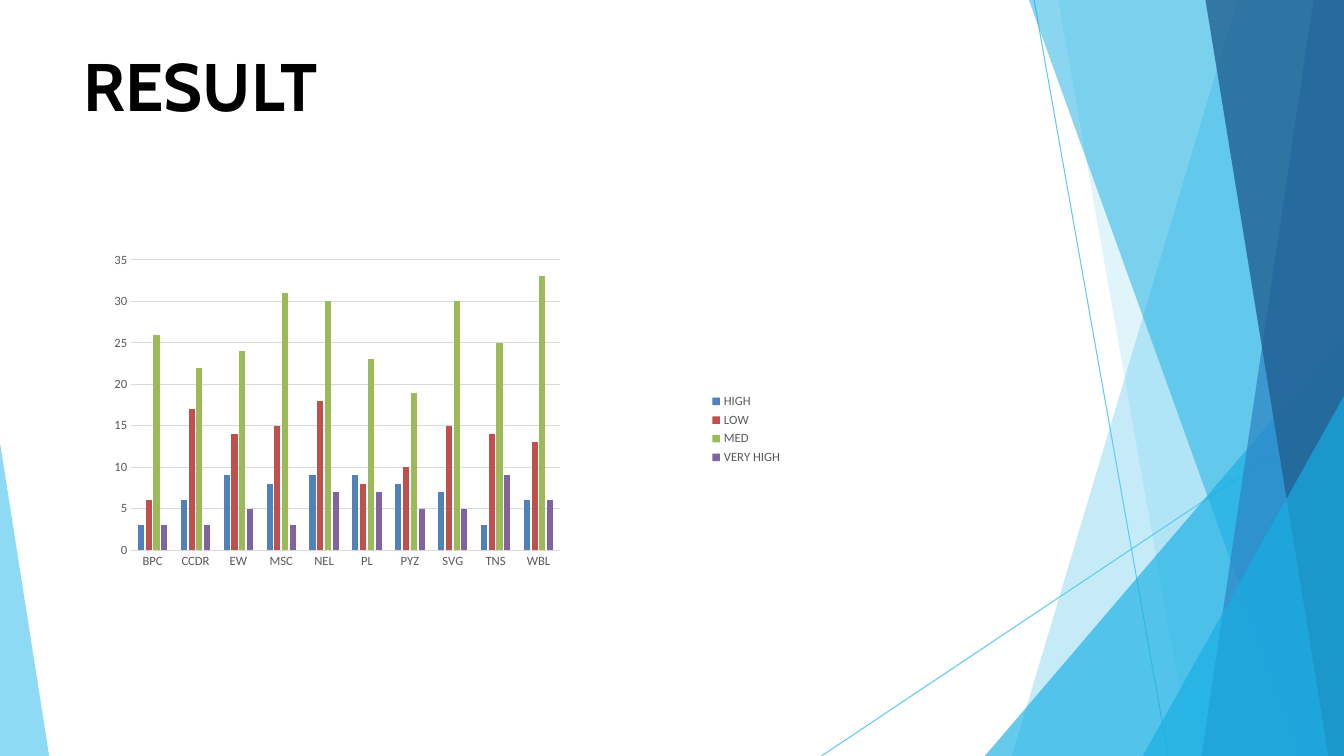
from lxml import etree
from pptx import Presentation
from pptx.chart.data import CategoryChartData
from pptx.dml.color import RGBColor
from pptx.enum.chart import XL_CHART_TYPE, XL_LEGEND_POSITION, XL_TICK_MARK
from pptx.enum.text import MSO_ANCHOR, MSO_AUTO_SIZE, PP_ALIGN
from pptx.oxml import parse_xml
from pptx.oxml.ns import nsdecls, qn
from pptx.util import Cm, Pt

CLUSTERED = XL_CHART_TYPE.COLUMN_CLUSTERED
LEGEND_RIGHT = XL_LEGEND_POSITION.RIGHT
NO_TICK = XL_TICK_MARK.NONE
MIDDLE = MSO_ANCHOR.MIDDLE
GROW = MSO_AUTO_SIZE.SHAPE_TO_FIT_TEXT
LEFT = PP_ALIGN.LEFT

TITLE_ONLY = 5
WIDTH, HEIGHT = 33.87, 19.05

COLORS = {
    "sky": "5FCAEE", "cyan": "17AFE3", "blue": "2D83C3", "navy": "226192",
    "title": "000000", "label": "595959", "grid": "D9D9D9",
    "HIGH": "4F81BD", "LOW": "C0504D", "MED": "9BBB59", "VERY HIGH": "8064A2",
}

RATINGS = {
    "HIGH": (3, 6, 9, 8, 9, 9, 8, 7, 3, 6),
    "LOW": (6, 17, 14, 15, 18, 8, 10, 15, 14, 13),
    "MED": (26, 22, 24, 31, 30, 23, 19, 30, 25, 33),
    "VERY HIGH": (3, 3, 5, 3, 7, 7, 5, 5, 9, 6),
}
SITES = ("BPC", "CCDR", "EW", "MSC", "NEL", "PL", "PYZ", "SVG", "TNS", "WBL")


def color(name):
    return RGBColor.from_string(COLORS[name])


def add_ray(slide, start, end):
    ray = slide.shapes.add_connector(1, *map(Cm, start + end))
    ray.line.color.rgb = color("sky")
    ray.line.width = Pt(0.75)
    etree.SubElement(ray._element.spPr, qn("a:effectLst"))


def add_facet(slide, corners, fill, opacity):
    """Draw a borderless polygon with the given opacity in percent."""
    points = [(Cm(x), Cm(y)) for x, y in corners]
    builder = slide.shapes.build_freeform(*points[0])
    builder.add_line_segments(points[1:], close=True)
    facet = builder.convert_to_shape()
    facet.shadow.inherit = False
    facet.line.fill.background()
    facet.fill.solid()
    facet.fill.fore_color.rgb = color(fill)
    srgb = facet._element.spPr.find(qn("a:solidFill"))[0]
    etree.SubElement(srgb, qn("a:alpha"), val=str(opacity * 1000))


def add_backdrop(slide, left, top, width, height):
    right, bottom = left + width, top + height

    def band(top_x, bottom_x):
        return [(right, top), (left + top_x, top),
                (left + bottom_x, bottom), (right, bottom)]

    def wedge(right_y, bottom_x):
        return [(right, top + right_y), (left + bottom_x, bottom), (right, bottom)]

    add_ray(slide, (left + 26.06, top), (left + 29.44, bottom))
    add_ray(slide, (right, top + 10.26), (left + 20.7, bottom))
    facets = (
        (band(31.19, 25.5), "sky", 36),
        (band(26.67, 30.02), "sky", 20),
        (wedge(8.46, 24.82), "cyan", 66),
        (band(25.93, 32.79), "cyan", 50),
        (band(33.1, 30.28), "blue", 70),
        (band(30.38, 33.48), "navy", 80),
        (wedge(9.98, 28.8), "cyan", 66),
        ([(left, top + 11.15), (left, bottom), (left + 1.24, bottom)], "sky", 70),
    )
    for corners, fill, opacity in facets:
        add_facet(slide, corners, fill, opacity)


def place_title(slide, left, top, width, height):
    title = slide.shapes.title
    title.left, title.top, title.width, title.height = map(Cm, (left, top, width, height))
    frame = title.text_frame
    frame.text = "RESULT"
    frame.margin_left = frame.margin_right = frame.margin_top = frame.margin_bottom = 0
    frame.vertical_anchor = MIDDLE
    frame.auto_size = GROW
    heading = frame.paragraphs[0]
    heading.alignment = LEFT
    heading.font.name = "Cabin"
    heading.font.size = Pt(48)
    heading.font.bold = True
    heading.font.color.rgb = color("title")


def style_chart_font(font, size, tone):
    font.name = "Calibri"
    font.size = Pt(size)
    font.color.rgb = color(tone)


def set_plot_layout(chart, **fractions):
    """Fix the inner plot area as fractions of the chart box."""
    plot_area = chart._chartSpace.chart.plotArea
    for layout in plot_area.findall(qn("c:layout")):
        plot_area.remove(layout)
    sizes = "".join(f'<c:{key} val="{value}"/>' for key, value in fractions.items())
    plot_area.insert(0, parse_xml(
        f'<c:layout {nsdecls("c")}><c:manualLayout><c:layoutTarget val="inner"/>'
        f'<c:xMode val="edge"/><c:yMode val="edge"/>{sizes}'
        '</c:manualLayout></c:layout>'))


def add_ratings_chart(slide, left, top, width, height):
    ratings = CategoryChartData()
    ratings.categories = SITES
    for level, counts in RATINGS.items():
        ratings.add_series(level, counts)
    chart = slide.shapes.add_chart(
        CLUSTERED, *map(Cm, (left, top, width, height)), ratings).chart
    chart.has_title = False
    style_chart_font(chart.font, 10, "title")

    columns = chart.plots[0]
    columns.gap_width = 219
    columns.overlap = -27
    columns.vary_by_categories = False
    for series in columns.series:
        series.format.fill.solid()
        series.format.fill.fore_color.rgb = color(series.name)

    site_axis, count_axis = chart.category_axis, chart.value_axis
    for axis in (site_axis, count_axis):
        axis.major_tick_mark = axis.minor_tick_mark = NO_TICK
        style_chart_font(axis.tick_labels.font, 9, "label")
    count_axis.minimum_scale, count_axis.maximum_scale = 0, 35
    count_axis.major_unit = 5
    count_axis.format.line.fill.background()
    for line in (site_axis.format.line, count_axis.major_gridlines.format.line):
        line.color.rgb = color("grid")
        line.width = Pt(0.75)

    chart.has_legend = True
    chart.legend.position = LEGEND_RIGHT
    chart.legend.include_in_layout = False
    style_chart_font(chart.legend.font, 9, "label")
    set_plot_layout(chart, x=0.067, y=0.169, w=0.605, h=0.567)


def main():
    deck = Presentation()
    deck.slide_width, deck.slide_height = Cm(WIDTH), Cm(HEIGHT)
    slide = deck.slides.add_slide(deck.slide_layouts[TITLE_ONLY])
    add_backdrop(slide, 0, 0, WIDTH, HEIGHT)
    place_title(slide, 2.11, 1.07, 29.67, 2.11)
    add_ratings_chart(slide, 2.11, 4.37, 17.86, 12.9)
    deck.save("out.pptx")


if __name__ == "__main__":
    main()
